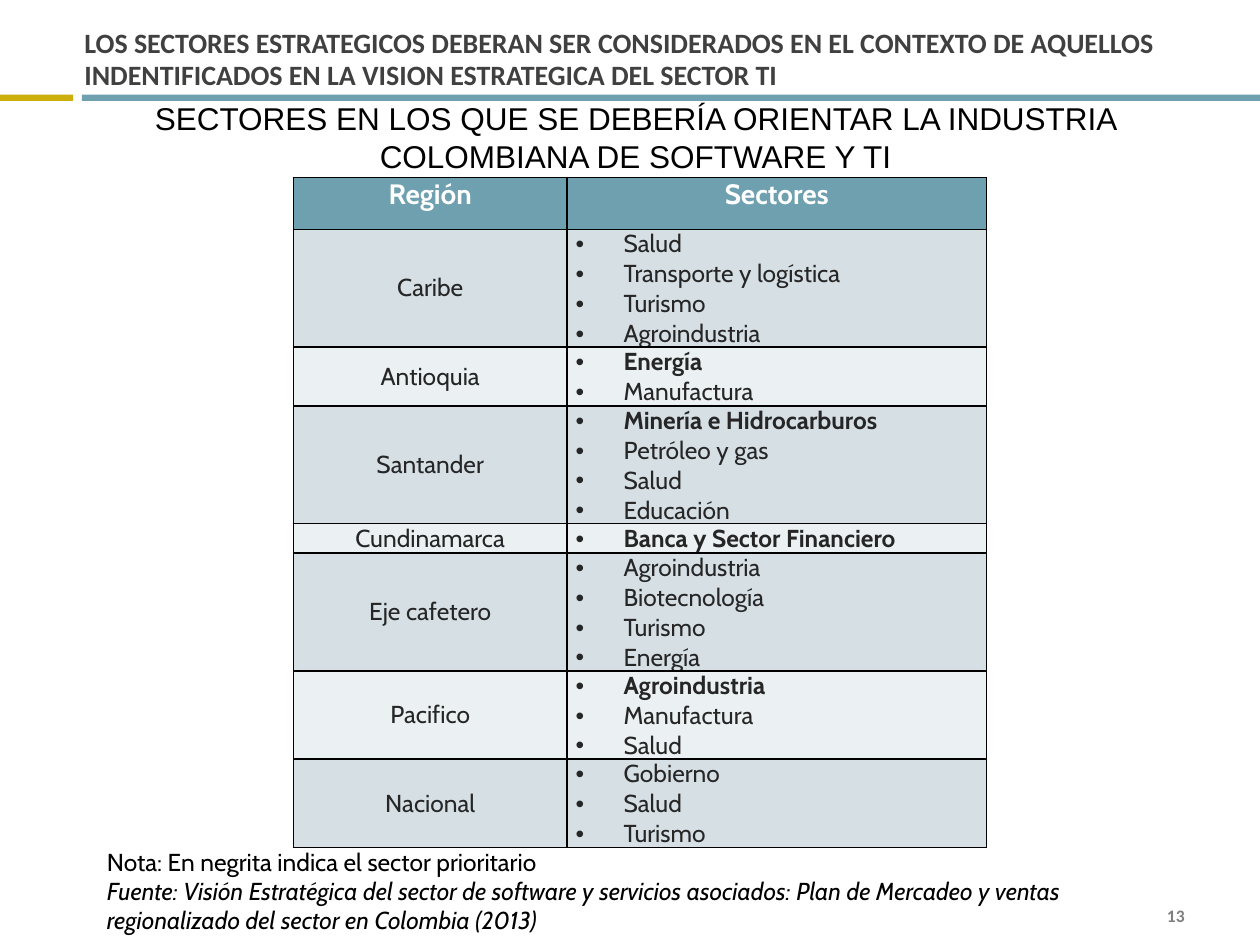
"""Build the slide on priority sectors by region."""
from lxml import etree
from pptx import Presentation, util as u
from pptx.dml.color import RGBColor
from pptx.enum import shapes, text
from pptx.oxml import ns

MID, TOP, LOW = text.MSO_ANCHOR.MIDDLE, text.MSO_ANCHOR.TOP, text.MSO_ANCHOR.BOTTOM
LEFT, MIDST, RIGHT = text.PP_ALIGN.LEFT, text.PP_ALIGN.CENTER, text.PP_ALIGN.RIGHT
TEAL = "6EA0B0"


def paint(fill, hue):
    fill.solid()
    fill.fore_color.rgb = RGBColor.from_string(hue)


def write(frame, line, first=True, size=14, face="Cabin", hue="262626", bold=False,
          slant=False, align=LEFT, dot=False, pitch=None):
    para = frame.paragraphs[0] if first else frame.add_paragraph()
    para.alignment = align
    if pitch:
        para.line_spacing = u.Pt(pitch)
    if dot:
        prop = para._p.get_or_add_pPr()
        prop.set("marL", str(u.Inches(0.38)))
        prop.set("indent", str(-u.Inches(0.38)))
        etree.SubElement(prop, ns.qn("a:buFont")).set("typeface", "Arial")
        etree.SubElement(prop, ns.qn("a:buChar")).set("char", "•")
    run = para.add_run()
    run.text = line
    font = run.font
    font.size, font.name, font.bold, font.italic = u.Pt(size), face, bold, slant
    paint(font.fill, hue)


deck = Presentation()
deck.slide_width, deck.slide_height = u.Inches(10), u.Inches(7.5)
slide = deck.slides.add_slide(deck.slide_layouts[6])

for left, wide, hue in ((0, 0.58, "CCAF0A"), (0.65, 9.35, TEAL)):
    bar = slide.shapes.add_shape(shapes.MSO_SHAPE.RECTANGLE, u.Inches(left),
                                 u.Inches(0.75), u.Inches(wide), u.Inches(0.05))
    bar.shadow.inherit = False
    paint(bar.fill, hue)
    bar.line.fill.background()

TITLE = ("LOS SECTORES ESTRATEGICOS DEBERAN SER CONSIDERADOS EN EL CONTEXTO DE AQUELLOS "
         "INDENTIFICADOS EN LA VISION ESTRATEGICA DEL SECTOR TI")
HEAD = "SECTORES EN LOS QUE SE DEBERÍA ORIENTAR LA INDUSTRIA COLOMBIANA DE SOFTWARE Y TI"
NOTE = "Nota: En negrita indica el sector prioritario"
CITE = ("Fuente: Visión Estratégica del sector de software y servicios asociados: "
        "Plan de Mercadeo y ventas regionalizado del sector en Colombia (2013)")
PAD = (0.1, 0.05, 0.1, 0.05)
BOXES = (
    ((7.17, 7.17, 2.33, 0.2), MID, PAD,
     [("13", dict(size=10, face="Calibri", hue="7F7F7F", bold=True, align=RIGHT))]),
    ((0.67, 0.08, 9, 0.67), LOW, (0, 0.05, 0, 0.03),
     [(TITLE, dict(size=16, face="Calibri", hue="404040", bold=True, pitch=18))]),
    ((0.83, 0.74, 8.43, 0.71), TOP, PAD,
     [(HEAD, dict(size=18, face="Arial", hue="000000", align=MIDST))]),
    ((0.75, 6.67, 8.17, 0.81), TOP, PAD,
     [(NOTE, dict(hue="000000")), (CITE, dict(hue="000000", slant=True))]),
)
for place, anchor, pad, lines in BOXES:
    frame = slide.shapes.add_textbox(*map(u.Inches, place)).text_frame
    frame.word_wrap = True
    frame.vertical_anchor = anchor
    (frame.margin_left, frame.margin_top,
     frame.margin_right, frame.margin_bottom) = map(u.Inches, pad)
    for num, (line, form) in enumerate(lines):
        write(frame, line, first=num == 0, **form)

ROWS = (
    ("Región", ["Sectores"], None),
    ("Caribe", ["Salud", "Transporte y logística", "Turismo", "Agroindustria"], None),
    ("Antioquia", ["Energía", "Manufactura"], "Energía"),
    ("Santander", ["Minería e Hidrocarburos", "Petróleo y gas", "Salud", "Educación"],
     "Minería e Hidrocarburos"),
    ("Cundinamarca", ["Banca y Sector Financiero"], "Banca y Sector Financiero"),
    ("Eje cafetero", ["Agroindustria", "Biotecnología", "Turismo", "Energía"], None),
    ("Pacifico", ["Agroindustria", "Manufactura", "Salud"], "Agroindustria"),
    ("Nacional", ["Gobierno", "Salud", "Turismo"], None),
)
grid = slide.shapes.add_table(len(ROWS), 2, u.Inches(2.33), u.Inches(1.41),
                              u.Inches(5.5), u.Inches(5.31)).table
for col, wide in zip(grid.columns, (2.17, 3.33)):
    col.width = u.Inches(wide)

LINE = (5.31 - 0.41) / sum(len(row[1]) for row in ROWS[1:])
for num, (region, sectors, prime) in enumerate(ROWS):
    grid.rows[num].height = u.Inches(LINE * len(sectors) if num else 0.41)
    for col, lines in enumerate(([region], sectors)):
        cell = grid.cell(num, col)
        cell.margin_left = cell.margin_right = u.Inches(0.07)
        cell.margin_top = cell.margin_bottom = 0
        cell.vertical_anchor = MID if num and col == 0 else TOP
        prop = cell._tc.get_or_add_tcPr()
        for side in "LRTB":
            edge = etree.SubElement(prop, ns.qn("a:ln" + side), w=str(u.Pt(1)))
            solid = etree.SubElement(edge, ns.qn("a:solidFill"))
            etree.SubElement(solid, ns.qn("a:srgbClr"), val="000000")
        paint(cell.fill, ("EBF0F2", "D5DFE4")[num % 2] if num else TEAL)
        for rank, line in enumerate(lines):
            if num == 0:
                form = dict(size=16, hue="FFFFFF", bold=True, align=MIDST)
            elif col == 0:
                form = dict(align=MIDST)
            else:
                form = dict(dot=True, bold=line == prime)
            write(cell.text_frame, line, first=rank == 0, **form)

deck.save("out.pptx")
